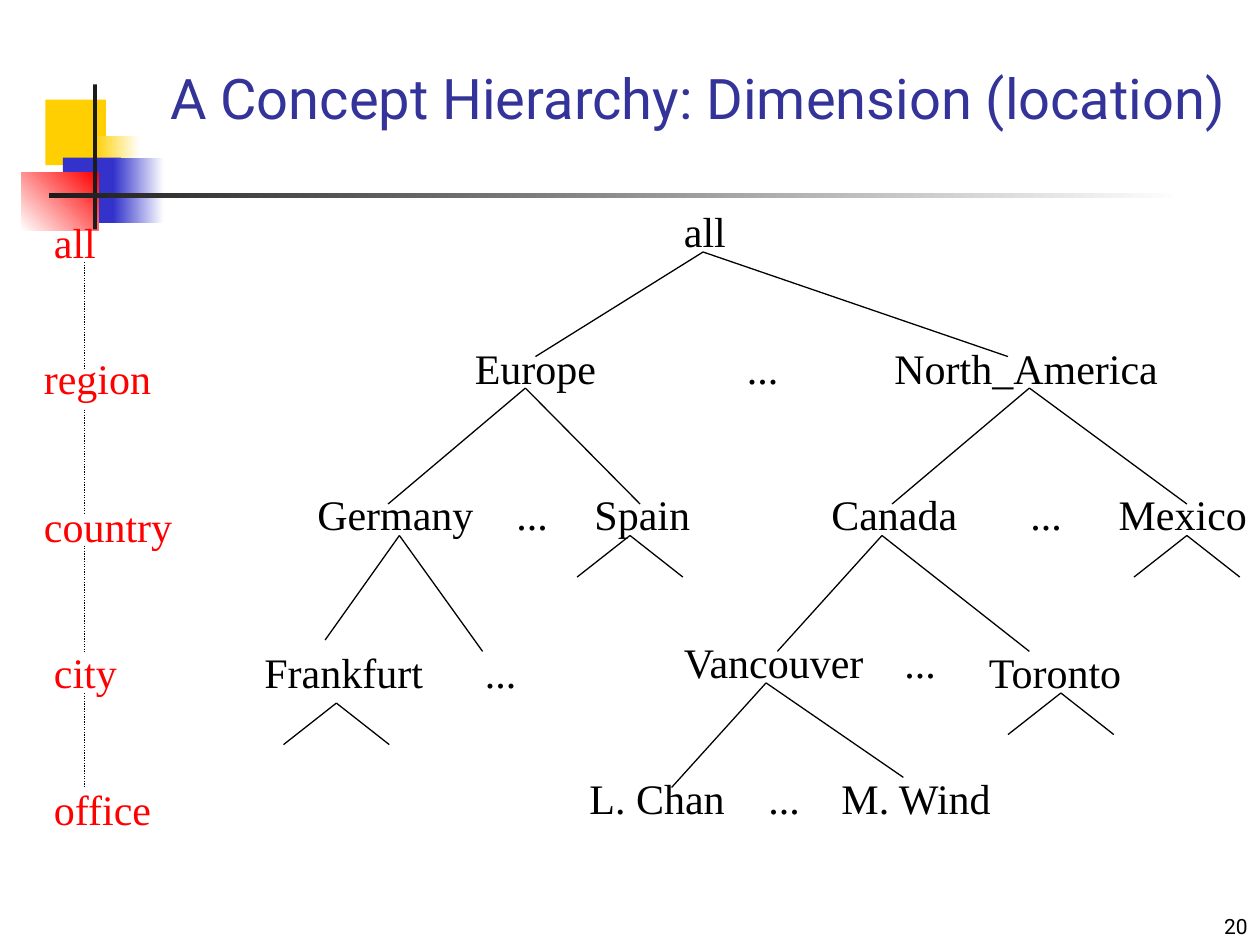
import pptx
import pptx.dml.color
import pptx.enum.dml
import pptx.enum.shapes
import pptx.enum.text
import pptx.oxml
import pptx.util

Inches = pptx.util.Inches
SERIF = "Times New Roman"
DOTS = ("...", 0.45)

DECORATION = [
    (0.19, 0.12, 0.48, 0.52, ["FFCF01"], 0),
    (0.58, 0.41, 0.36, 0.52, ["FFCF01", "FFFFFF"], 0),
    (0.33, 0.58, 0.46, 0.52, ["3333CC"], 0),
    (0.73, 0.58, 0.4, 0.52, ["3333CC", "FFFFFF"], 0),
    (0, 0.7, 0.61, 0.46, ["FFFFFF", "FF0000"], 45),
    (0.57, 0, 0.03, 1.15, ["1C1C1C"], 0),
    (0.22, 0.86, 9, 0.04, ["1C1C1C", "FFFFFF"], 0),
]
LEVELS = [
    ("all", 0.53, 0.08, 0),
    ("region", 1.05, 0, 1.08),
    ("country", 1.22, 0, 2.25),
    ("city", 0.7, 0.08, 3.41),
    ("office", 0.98, 0.08, 4.5),
]
LEVEL_LINKS = [(0.41, 1.25), (1.58, 2.41), (2.66, 3.5), (3.83, 4.58)]
NODES = [
    ("all", 0.53, 3.33, 0),
    ("Europe", 1.16, 1.67, 1.09),
    (*DOTS, 3.83, 1.09),
    ("North_America", 2.29, 5, 1.09),
    ("Germany", 1.44, 0.42, 2.25),
    (*DOTS, 2, 2.25),
    ("Spain", 0.96, 2.62, 2.25),
    ("Canada", 1.2, 4.5, 2.25),
    (*DOTS, 6.08, 2.25),
    ("Mexico", 1.22, 6.78, 2.25),
    ("Frankfurt", 1.46, 0, 3.5),
    (*DOTS, 1.75, 3.5),
    ("Vancouver", 1.66, 3.33, 3.42),
    (*DOTS, 5.08, 3.42),
    ("Toronto", 1.27, 5.75, 3.5),
    ("L. Chan", 1.3, 2.58, 4.5),
    (*DOTS, 4, 4.5),
    ("M. Wind", 1.42, 4.58, 4.5),
]
BRANCHES = [
    ((3.58, 0.42), (2.25, 1.25), (6, 1.25)),
    ((2.17, 1.5), (1.08, 2.42), (3.08, 2.42)),
    ((6.17, 1.5), (5.08, 2.42), (7.42, 2.42)),
    ((1.17, 2.67), (0.58, 3.5), (1.83, 3.59)),
    ((5, 2.67), (4.17, 3.59), (6.17, 3.59)),
    ((4.08, 3.84), (3.33, 4.67), (5.17, 4.59)),
]
OPEN_BRANCHES = [(3, 2.67), (7.42, 2.67), (0.67, 4), (6.42, 3.92)]


def color(value):
    """Return the colour for a hex string."""
    return pptx.dml.color.RGBColor.from_string(value)


def format_text(text_frame, text, size, font, hex_color, **formats):
    """Write one paragraph and apply its font and frame formats."""
    paragraph = text_frame.paragraphs[0]
    paragraph.alignment = formats.pop("alignment", pptx.enum.text.PP_ALIGN.LEFT)
    run = paragraph.add_run()
    run.text = text
    for name, value in {"size": pptx.util.Pt(size), "name": font}.items():
        setattr(run.font, name, value)
    run.font.color.rgb = color(hex_color)
    for name, value in formats.items():
        setattr(text_frame, name, value)


def add_label(slide, text, left, top, width, hex_color):
    """Add a one-line label of the hierarchy."""
    shape = slide.shapes.add_textbox(Inches(left), Inches(top), Inches(width), Inches(0.5))
    format_text(shape.text_frame, text, 24, SERIF, hex_color, word_wrap=False,
                auto_size=pptx.enum.text.MSO_AUTO_SIZE.SHAPE_TO_FIT_TEXT)


def add_line(slide, start, end, dash=None):
    """Add a thin black line between two points."""
    connector = slide.shapes.add_connector(
        pptx.enum.shapes.MSO_CONNECTOR.STRAIGHT, *map(Inches, (*start, *end)))
    connector.line.color.rgb = color("000000")
    connector.line.width = pptx.util.Pt(0.75)
    if dash:
        connector.line.dash_style = dash
    properties = connector._element.spPr
    properties.append(pptx.oxml.parse_xml(
        '<a:effectLst xmlns:a="http://schemas.openxmlformats.org/drawingml/2006/main"/>'))


def add_decoration(slide, left, top):
    """Add the coloured squares and the crossed bars."""
    for x, y, width, height, colors, angle in DECORATION:
        shape = slide.shapes.add_shape(
            pptx.enum.shapes.MSO_SHAPE.RECTANGLE,
            *map(Inches, (left + x, top + y, width, height)))
        shape.shadow.inherit = False
        shape.line.fill.background()
        if len(colors) == 1:
            shape.fill.solid()
            shape.fill.fore_color.rgb = color(colors[0])
            continue
        shape.fill.gradient()
        shape.fill.gradient_angle = angle
        for stop, value in zip(shape.fill.gradient_stops, colors):
            stop.color.rgb = color(value)


def add_title(slide, left, top, width, height):
    """Place and fill the title placeholder."""
    title = slide.shapes.title
    box = {"left": left, "top": top, "width": width, "height": height}
    for name, value in box.items():
        setattr(title, name, Inches(value))
    format_text(title.text_frame, "A Concept Hierarchy: Dimension (location)", 32,
                "Roboto", "333399", word_wrap=True,
                auto_size=pptx.enum.text.MSO_AUTO_SIZE.NONE,
                vertical_anchor=pptx.enum.text.MSO_ANCHOR.BOTTOM)


def add_page_number(slide, left, top, width, height):
    """Add the page number at the lower right."""
    shape = slide.shapes.add_textbox(*map(Inches, (left, top, width, height)))
    format_text(shape.text_frame, "20", 12, "Roboto", "000000", word_wrap=True,
                alignment=pptx.enum.text.PP_ALIGN.RIGHT,
                vertical_anchor=pptx.enum.text.MSO_ANCHOR.BOTTOM)


def add_levels(slide, left, top):
    """Add the column of level names joined by dotted lines."""
    for text, width, x, y in LEVELS:
        add_label(slide, text, left + x, top + y, width, "FF0000")
    axis = left + 0.42
    for start, end in LEVEL_LINKS:
        add_line(slide, (axis, top + start), (axis, top + end),
                 pptx.enum.dml.MSO_LINE.ROUND_DOT)


def add_tree(slide, left, top):
    """Add the tree of locations with its branches."""
    for text, width, x, y in NODES:
        add_label(slide, text, left + x, top + y, width, "000000")
    fans = [((x, y), (x - 0.42, y + 0.33), (x + 0.42, y + 0.33)) for x, y in OPEN_BRANCHES]
    for apex, *ends in BRANCHES + fans:
        for x, y in ends:
            add_line(slide, (left + apex[0], top + apex[1]), (left + x, top + y))


def main():
    """Build the slide and save it."""
    presentation = pptx.Presentation()
    presentation.slide_width = Inches(10)
    presentation.slide_height = Inches(7.5)
    slide = presentation.slides.add_slide(presentation.slide_layouts[5])
    add_decoration(slide, 0.17, 0.67)
    add_title(slide, 1.25, 0.42, 8.75, 0.67)
    add_tree(slide, 2, 1.58)
    add_levels(slide, 0.25, 1.67)
    add_page_number(slide, 7.92, 7, 2.08, 0.5)
    presentation.save("out.pptx")


if __name__ == "__main__":
    main()
